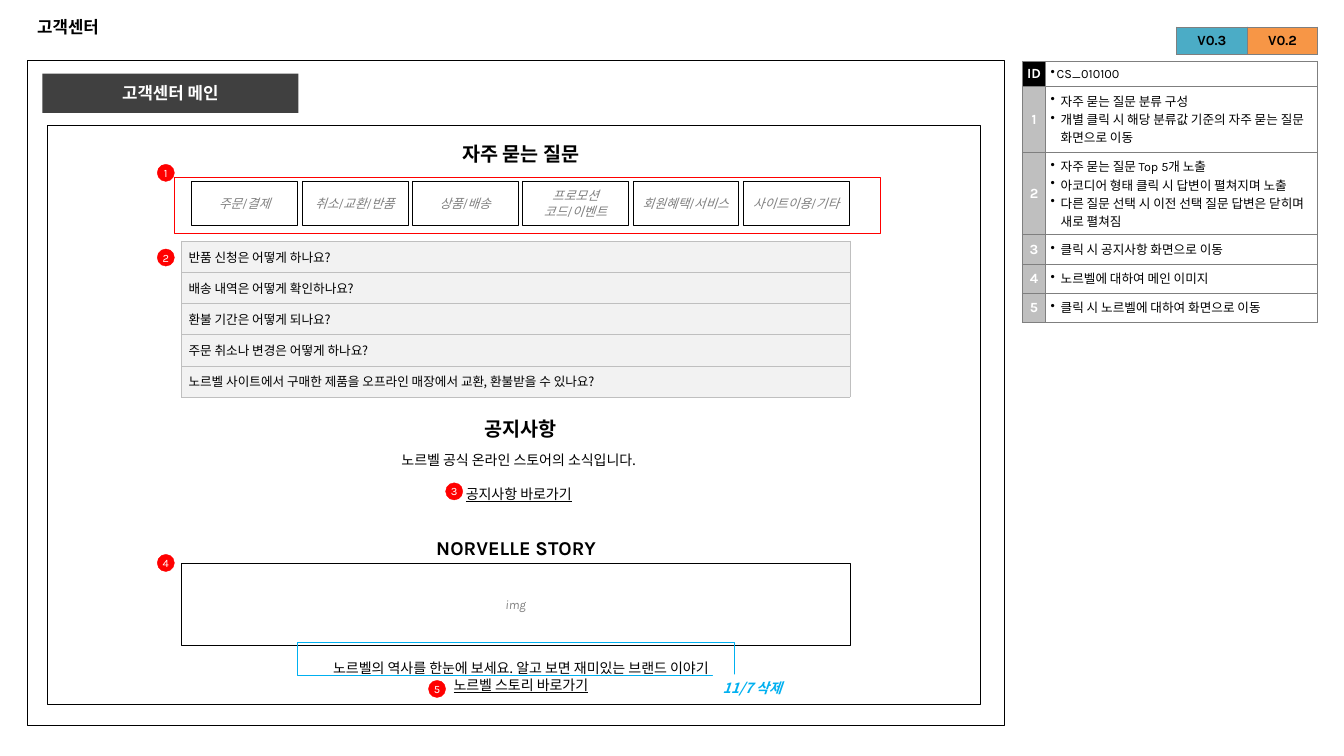
from dataclasses import dataclass, replace
from typing import Optional

import pptx
import pptx.util
from lxml import etree
from pptx.dml.color import RGBColor
from pptx.enum.shapes import MSO_SHAPE
from pptx.enum.text import MSO_ANCHOR, PP_ALIGN
from pptx.oxml.ns import qn

# The slide is a grid of 1333 columns by 750 rows
COLS, ROWS = 1333, 750
UNIT = pptx.util.Inches(0.01)

COLORS = {
    "black": "000000", "white": "FFFFFF", "dark": "404040", "grey": "808080",
    "border": "7F7F7F", "silver": "BFBFBF", "pale": "F2F2F2", "red": "FF0000",
    "blue": "00B0F0", "teal": "4BACC6", "orange": "F79646",
}
ARIAL, KARLA, NOTO = "Arial", "Karla", "Noto Sans CJK KR"
LEFT, CENTER = PP_ALIGN.LEFT, PP_ALIGN.CENTER
TOP, MIDDLE = MSO_ANCHOR.TOP, MSO_ANCHOR.MIDDLE


@dataclass(frozen=True)
class Style:
    size: float
    font: str = KARLA
    color: str = "black"
    bold: bool = False
    italic: bool = False
    align: PP_ALIGN = CENTER
    spacing: Optional[float] = None
    hang: float = 0


@dataclass(frozen=True)
class Para:
    text: str
    underline: bool = False
    before: float = 0


@dataclass(frozen=True)
class Box:
    at: tuple[float, float, float, float]
    paras: tuple[Para, ...] = ()
    style: Style = Style(10)
    fill: Optional[str] = None
    line: Optional[str] = None
    weight: float = 0.25
    inset: tuple[float, float] = (10, 5)
    anchor: MSO_ANCHOR = MIDDLE
    wrap: bool = True
    shape: Optional[MSO_SHAPE] = MSO_SHAPE.RECTANGLE


@dataclass(frozen=True)
class Cell:
    paras: tuple[Para, ...]
    style: Style
    fill: Optional[str] = None
    inset: tuple[float, float] = (0, 0)
    anchor: MSO_ANCHOR = MIDDLE


def rgb(name: str) -> RGBColor:
    return RGBColor.from_string(COLORS[name])


def grid(n: float) -> int:
    return round(n * UNIT)


def paint(fill, color: Optional[str]) -> None:
    if color:
        fill.solid()
        fill.fore_color.rgb = rgb(color)
    else:
        fill.background()


def write(tf, paras: tuple[Para, ...], style: Style) -> None:
    for i, para in enumerate(paras):
        p = tf.paragraphs[0] if i == 0 else tf.add_paragraph()
        p.alignment = style.align
        if style.spacing:
            p.line_spacing = pptx.util.Pt(style.spacing)
        if para.before:
            p.space_before = pptx.util.Pt(para.before)
        if style.hang:
            pPr = p._p.get_or_add_pPr()
            pPr.set("marL", str(grid(style.hang)))
            pPr.set("indent", str(-grid(style.hang)))
            etree.SubElement(pPr, qn("a:buChar"), char="•")
        r = p.add_run()
        r.text = para.text
        f = r.font
        f.name, f.size = style.font, pptx.util.Pt(style.size)
        f.bold, f.italic, f.underline = style.bold, style.italic, para.underline
        f.color.rgb = rgb(style.color)
        r._r.rPr.find(qn("a:latin")).addnext(
            etree.Element(qn("a:ea"), typeface=NOTO))


def draw_box(s, box: Box) -> None:
    at = [grid(n) for n in box.at]
    if box.shape is None:
        sp = s.shapes.add_textbox(*at)
    else:
        sp = s.shapes.add_shape(box.shape, *at)
        sp.shadow.inherit = False
        paint(sp.fill, box.fill)
        paint(sp.line.fill, box.line)
        if box.line:
            sp.line.width = pptx.util.Pt(box.weight)
    tf = sp.text_frame
    tf.word_wrap = box.wrap
    tf.vertical_anchor = box.anchor
    tf.margin_left = tf.margin_right = grid(box.inset[0])
    tf.margin_top = tf.margin_bottom = grid(box.inset[1])
    write(tf, box.paras, box.style)


def draw_table(s, left: float, top: float, widths: list[float], heights: list[float],
               cells: list[list[Cell]], border: str, weight: float) -> None:
    size = [grid(n) for n in (left, top, sum(widths), sum(heights))]
    table = s.shapes.add_table(len(heights), len(widths), *size).table
    table.first_row = table.horz_banding = False
    for column, width in zip(table.columns, widths):
        column.width = grid(width)
    for row, height, items in zip(table.rows, heights, cells):
        row.height = grid(height)
        for cell, item in zip(row.cells, items):
            cell.margin_left = cell.margin_right = grid(item.inset[0])
            cell.margin_top = cell.margin_bottom = grid(item.inset[1])
            cell.vertical_anchor = item.anchor
            paint(cell.fill, item.fill)
            write(cell.text_frame, item.paras, item.style)
            for i, side in enumerate(("lnL", "lnR", "lnT", "lnB")):
                ln = etree.Element(qn("a:" + side), w=str(pptx.util.Pt(weight)))
                fill = etree.SubElement(ln, qn("a:solidFill"))
                etree.SubElement(fill, qn("a:srgbClr"), val=COLORS[border])
                cell._tc.tcPr.insert(i, ln)


HEADING = Style(14, ARIAL, bold=True)
HINT = Style(9, color="grey", italic=True, spacing=11.4)
BODY = Style(10, NOTO, spacing=12)
NOTE = Style(9, align=LEFT, hang=10)
KEY = Style(10, color="white", bold=True)

CATEGORIES = ["주문/결제", "취소/교환/반품", "상품/배송", "프로모션 코드/이벤트",
              "회원혜택/서비스", "사이트이용/기타"]
QUESTIONS = ["반품 신청은 어떻게 하나요?", "배송 내역은 어떻게 확인하나요?",
             "환불 기간은 어떻게 되나요?", "주문 취소나 변경은 어떻게 하나요?",
             "노르벨 사이트에서 구매한 제품을 오프라인 매장에서 교환, 환불받을 수 있나요?"]
NOTES = [
    ("ID", 25, ["CS_010100"]),
    ("1", 65, ["자주 묻는 질문 분류 구성",
               "개별 클릭 시 해당 분류값 기준의 자주 묻는 질문 화면으로 이동"]),
    ("2", 82, ["자주 묻는 질문 Top 5개 노출", "아코디어 형태 클릭 시 답변이 펼쳐지며 노출",
               "다른 질문 선택 시 이전 선택 질문 답변은 닫히며 새로 펼쳐짐"]),
    ("3", 29, ["클릭 시 공지사항 화면으로 이동"]),
    ("4", 29, ["노르벨에 대하여 메인 이미지"]),
    ("5", 29, ["클릭 시 노르벨에 대하여 화면으로 이동"]),
]
BADGES = [(156, 163), (156, 247), (442, 479), (156, 550), (425, 675)]
VERSIONS = [("V0.3", "teal"), ("V0.2", "orange")]

BOXES = [
    Box((27, 60, 969, 660), line="black", weight=0.75),
    Box((27, 7, 1279, 39), (Para("고객센터"),),
        Style(12, ARIAL, bold=True, align=LEFT), shape=None),
    Box((47, 124, 925, 575), line="black"),
    Box((42, 73, 254, 39), (Para("고객센터 메인"),),
        Style(12, ARIAL, "white", bold=True), fill="dark"),
    Box((422, 136, 189, 34), (Para("자주 묻는 질문"),), HEADING, anchor=TOP, shape=None),
    *(Box((190 + 109.4 * i, 180, 105, 43), (Para(name),), HINT, line="black", inset=(4, 4))
      for i, name in enumerate(CATEGORIES)),
    Box((173, 176, 700, 55), line="red"),
    Box((422, 409, 189, 34), (Para("공지사항"),), HEADING, anchor=TOP, shape=None),
    Box((341, 444, 347, 68),
        (Para("노르벨 공식 온라인 스토어의 소식입니다."), Para("공지사항 바로가기", True, 12)),
        BODY, inset=(4, 4), anchor=TOP, shape=None),
    Box((180, 559, 663, 81), (Para("img"),), HINT, line="black", inset=(4, 4)),
    Box((396, 528, 232, 30), (Para("NORVELLE STORY"),), replace(HEADING, font=KARLA),
        shape=None),
    Box((292, 650, 449, 39),
        (Para("노르벨의 역사를 한눈에 보세요. 알고 보면 재미있는 브랜드 이야기"),
         Para("노르벨 스토리 바로가기", True)),
        BODY, inset=(4, 4), anchor=TOP, shape=None),
    *(Box((x, y, 17, 17), (Para(str(i)),), Style(8, color="white"), fill="red", line="red",
          inset=(0, 0), shape=MSO_SHAPE.OVAL)
      for i, (x, y) in enumerate(BADGES, 1)),
    Box((295, 637, 433, 33), line="blue"),
    Box((707, 669, 86, 28), (Para("11/7 삭제"),),
        Style(10, NOTO, "blue", bold=True, italic=True, align=LEFT),
        fill="white", anchor=TOP, wrap=False),
]


def main() -> None:
    prs = pptx.Presentation()
    prs.slide_width, prs.slide_height = grid(COLS), grid(ROWS)
    s = prs.slides.add_slide(prs.slide_layouts[6])

    for box in BOXES:
        draw_box(s, box)

    questions = [[Cell((Para(q),), Style(9, NOTO, align=LEFT), "pale", (7, 0))]
                 for q in QUESTIONS]
    draw_table(s, 180, 239, [663], [31] * len(questions), questions, "silver", 0.5)

    notes = [[Cell((Para(key),), KEY, "black" if key == "ID" else "silver"),
              Cell(tuple(map(Para, lines)), replace(NOTE, hang=6 if key == "ID" else 10),
                   inset=(5, 5), anchor=TOP)]
             for key, _, lines in NOTES]
    draw_table(s, 1014, 61, [23, 270], [height for _, height, _ in NOTES],
               notes, "border", 1)

    for i, (version, color) in enumerate(VERSIONS):
        cell = Cell((Para(version),), Style(10, bold=True), color)
        draw_table(s, 1167 + 70 * i, 27, [70], [27], [[cell]], "border", 1)

    prs.save("out.pptx")


if __name__ == "__main__":
    main()
